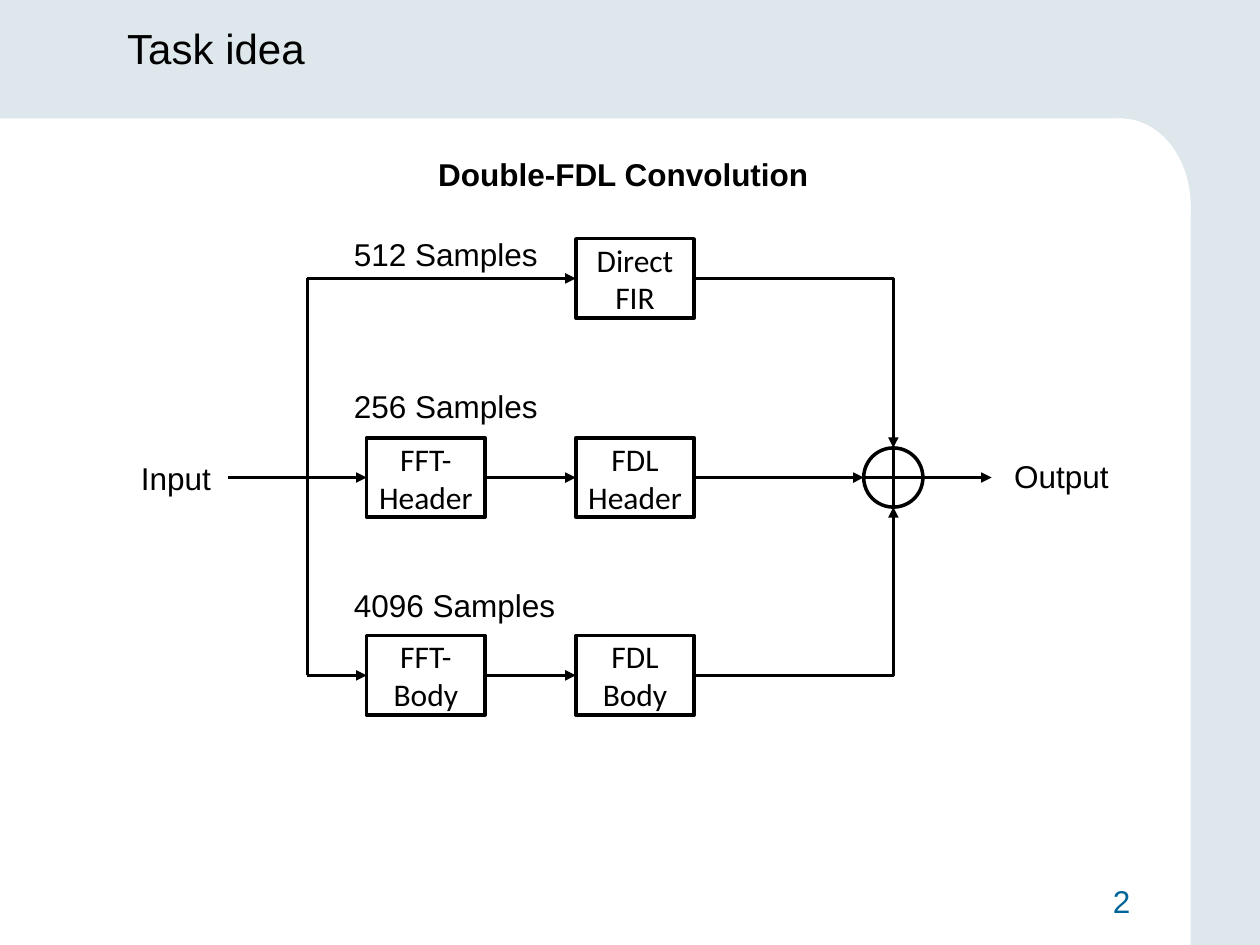
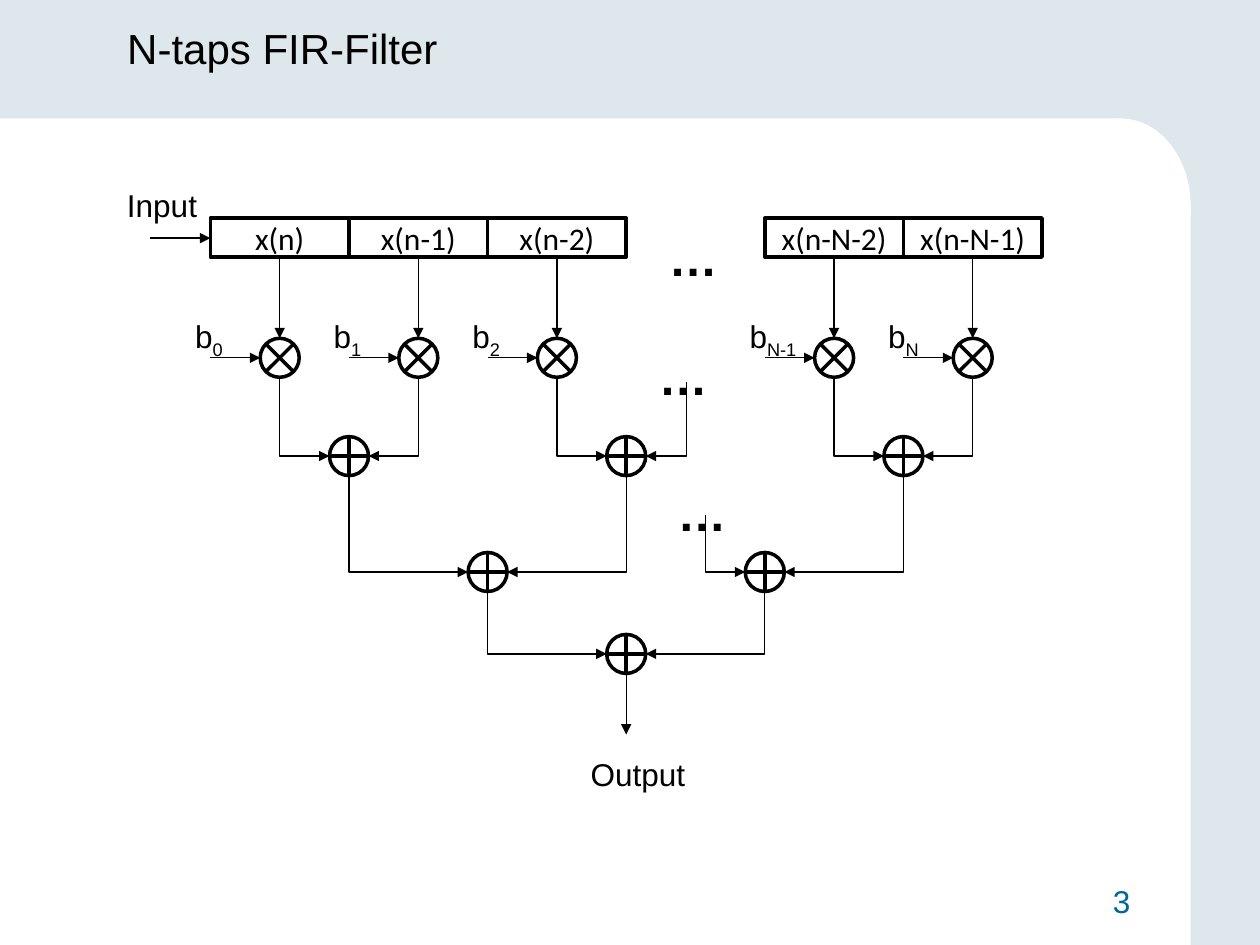
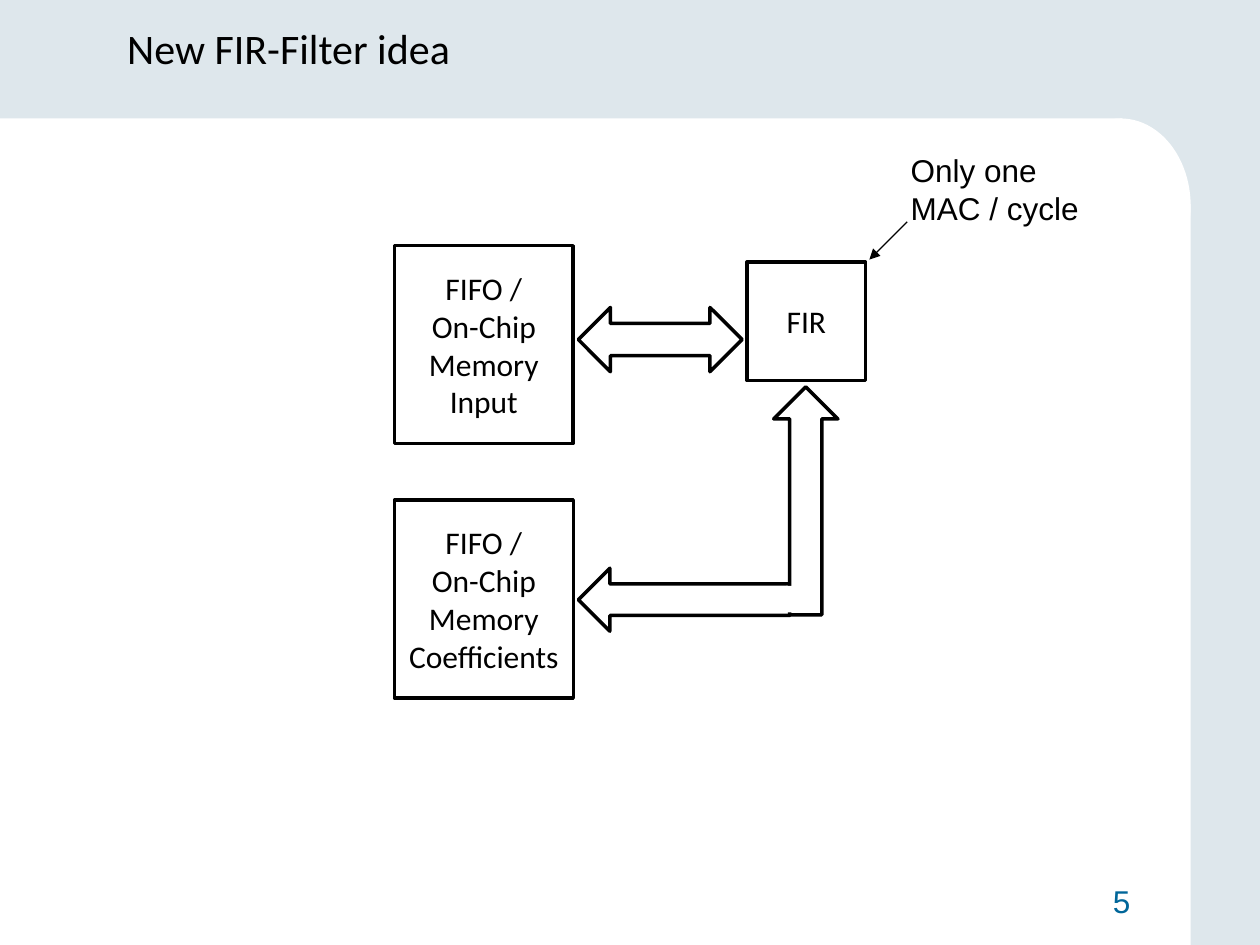
from dataclasses import dataclass

from lxml import etree
from pptx import Presentation
from pptx import util as u
from pptx.dml.color import RGBColor
from pptx.enum import shapes as sh, text as tx
from pptx.oxml.ns import qn


@dataclass(frozen=True)
class Theme:
    """Colours, fonts, type sizes and line widths of the deck."""
    back: str = "DEE7EC"
    white: str = "FFFFFF"
    ink: str = "000000"
    num: str = "006699"
    sans: str = "Arial"
    block: str = "Calibri"
    head: int = 24
    text: int = 18
    dots: int = 48
    thick: float = 2
    thin: float = 0.75


T = Theme()
KIND = sh.MSO_SHAPE
MID = tx.PP_ALIGN.CENTER

# Shared frame: kind, left, top, width, height
PANEL = [
    (KIND.RECTANGLE, 0, 0.94, 8.91, 6.56),
    (KIND.OVAL, 8.34, 0.94, 1.11, 1.39),
    (KIND.RECTANGLE, 5.35, 1.62, 4.1, 5.88),
]
TITLE = (0.91, 0.13, 8.11, 0.79)
PAGES = [("Task idea", 2, T.sans), ("N-taps FIR-Filter", 3, T.sans),
         ("New FIR-Filter idea", 5, T.block)]

# Convolution: one branch a row, as centre height, label, label top, blocks
ROWS = [
    (2.21, "512 Samples", 1.82, [None, "Direct FIR"]),
    (3.79, "256 Samples", 3.02, ["FFT- Header", "FDL Header"]),
    (5.36, "4096 Samples", 4.6, ["FFT- Body", "FDL Body"]),
]
COLS = [2.91, 4.57]
BLOCK = (0.94, 0.63)

# Filter: slot -> cell text and coefficient index
TAPS = {0: ("x(n)", "0"), 1: ("x(n-1)", "1"), 2: ("x(n-2)", "2"),
        4: ("x(n-N-2)", "N-1"), 5: ("x(n-N-1)", "N")}
LEVELS = [2.84, 3.62, 4.54, 5.19]
# Adders: level, slot, slots that feed it from the level above
ADDERS = [
    (1, 0.5, [0, 1]), (1, 2.5, [2]), (1, 4.5, [4, 5]),
    (2, 1.5, [0.5, 2.5]), (2, 3.5, [4.5]), (3, 2.5, [1.5, 3.5]),
]
# Feeds from the omitted taps: start, adder level, adder slot
STUBS = [((5.45, 3.03), 1, 2.5), ((5.6, 4.09), 2, 3.5)]
DOTS = [(5.21, 1.31), (5.13, 2.26), (5.28, 3.34)]

# Memory idea: kind, place, lines of text
PARTS = [
    (KIND.RECTANGLE, (3.13, 1.95, 1.42, 1.57),
     ["FIFO /", "On-Chip Memory", "Input"]),
    (KIND.FLOWCHART_PROCESS, (3.13, 3.97, 1.42, 1.57),
     ["FIFO /", "On-Chip Memory", "Coefficients"]),
    (KIND.LEFT_RIGHT_ARROW, (4.59, 2.44, 1.3, 0.51), []),
    (KIND.LEFT_ARROW, (4.59, 4.51, 1.68, 0.5), []),
    (KIND.UP_ARROW, (6.14, 3.07, 0.51, 1.81), []),
    (KIND.RECTANGLE, (5.93, 2.08, 0.94, 0.94), ["FIR"]),
]
JOINT = (6.24, 4.65, 0.06, 0.21)


def inch(vals):
    """Turn numbers into lengths."""
    return [u.Inches(v) for v in vals]


def style(run, **extra):
    """Set the font of a run from theme values and overrides."""
    form = {"name": T.sans, "size": T.text, "bold": False, **extra}
    color = form.pop("color", T.ink)
    form["size"] = u.Pt(form["size"])
    for key, val in form.items():
        setattr(run.font, key, val)
    run.font.color.rgb = RGBColor.from_string(color)


def write(frame, lines, align=None, **form):
    """Fill a frame, one paragraph a line."""
    for i, line in enumerate(lines):
        para = frame.add_paragraph() if i else frame.paragraphs[0]
        para.alignment = align
        run = para.add_run()
        run.text = line
        style(run, **form)


def lower(run):
    """Set a run as subscript."""
    run.font._element.set("baseline", "-25000")


def label(page, lines, place, wrap=False, align=None, **form):
    """Add a text box and return its frame."""
    frame = page.shapes.add_textbox(*inch(place)).text_frame
    frame.word_wrap = wrap
    write(frame, lines, align, **form)
    return frame


def block(page, kind, place, lines=(), fill=T.white, edge=True):
    """Add an outlined shape with centred text."""
    item = page.shapes.add_shape(kind, *inch(place))
    item.shadow.inherit = False
    if fill:
        item.fill.solid()
        item.fill.fore_color.rgb = RGBColor.from_string(fill)
    else:
        item.fill.background()
    if edge:
        item.line.color.rgb = RGBColor.from_string(T.ink)
        item.line.width = u.Pt(T.thick)
    else:
        item.line.fill.background()
    if lines:
        frame = item.text_frame
        form = {"word_wrap": True, "vertical_anchor": tx.MSO_ANCHOR.MIDDLE,
                "margin_left": u.Inches(0.08), "margin_right": u.Inches(0.08)}
        for key, val in form.items():
            setattr(frame, key, val)
        write(frame, lines, MID, name=T.block)
    return item


def node(page, kind, x, y, size, fill=None):
    """Add a round junction centred on a point."""
    block(page, kind, (x - size / 2, y - size / 2, size, size), fill=fill)


def wire(page, start, end, width=T.thin, tip="tailEnd", bent=False):
    """Add a line; a bent one runs level first, then upright."""
    kind = sh.MSO_CONNECTOR.ELBOW if bent else sh.MSO_CONNECTOR.STRAIGHT
    link = page.shapes.add_connector(kind, *inch(start + end))
    link.line.color.rgb = RGBColor.from_string(T.ink)
    link.line.width = u.Pt(width)
    prop = link._element.spPr
    if bent:
        prop.find(qn("a:prstGeom")).set("prst", "bentConnector2")
    if tip:
        etree.SubElement(prop.find(qn("a:ln")), qn("a:" + tip), type="triangle")
    etree.SubElement(prop, qn("a:effectLst"))


def drop(page, start, end):
    """Run upright, then level into end: a bent wire laid backwards."""
    wire(page, end, start, tip="headEnd", bent=True)


def frame_up(deck):
    """Put background, white panel and title place on the shared layout."""
    fill = deck.slide_master.background.fill
    fill.solid()
    fill.fore_color.rgb = RGBColor.from_string(T.back)
    base = deck.slide_layouts[5]
    names = ("left", "top", "width", "height")
    for key, val in zip(names, inch(TITLE)):
        setattr(base.placeholders[0], key, val)
    base.placeholders[0].text_frame.vertical_anchor = tx.MSO_ANCHOR.TOP
    return base


def panel(base, page):
    """Draw the panel once and move it behind the layout's placeholders."""
    for i, (kind, *place) in enumerate(PANEL):
        item = block(page, kind, place, edge=False)._element
        item.nvSpPr.cNvPr.set("id", str(90 + i))
        base.shapes._spTree.insert(2 + i, item)


def start(deck, base, title, num, font):
    """Add a slide with its title and number."""
    page = deck.slides.add_slide(base)
    write(page.shapes.title.text_frame, [title], tx.PP_ALIGN.LEFT,
          name=font, size=T.head)
    label(page, [str(num)], (7.17, 6.95, 1.9, 0.4), True,
          tx.PP_ALIGN.RIGHT, color=T.num)
    return page


def convolve(page):
    """Draw three branches that meet in one adder."""
    wide, high = BLOCK
    fork, hub, size = 2.44, 7.09, 0.47
    top, mid, low = [row[0] for row in ROWS]
    for y, note, rise, names in ROWS:
        left = 1.81 if y == mid else fork
        for x, name in zip(COLS, names):
            if name:
                block(page, KIND.RECTANGLE, (x, y - high / 2, wide, high), [name])
                wire(page, (left, y), (x, y), T.thick)
                left = x + wide
        if y == mid:
            wire(page, (left, y), (hub - size / 2, y), T.thick)
        else:
            side = size / 2 if y > mid else -size / 2
            wire(page, (left, y), (hub, mid + side), T.thick, bent=True)
        label(page, [note], (2.71, rise, 1.85, 0.4), True)
    node(page, KIND.FLOWCHART_OR, hub, mid, size, T.white)
    wire(page, (hub + size / 2, mid), (7.87, mid), T.thick)
    wire(page, (fork, low), (fork, top), T.thick, tip=None)
    label(page, ["Input"], (1.02, 3.59, 0.79, 0.4))
    label(page, ["Output"], (7.95, 3.58, 1.02, 0.4))
    label(page, ["Double-FDL Convolution"], (3.38, 1.18, 3.17, 0.4), bold=True)


def taps(page):
    """Draw the delay line, its multipliers and the adder tree."""
    left, step, top, high, size = 1.67, 1.1, 1.73, 0.31, 0.31
    half = size / 2

    def mid(slot):
        """Centre of a slot."""
        return left + step * (slot + 0.5)

    row = LEVELS[0]
    for slot, (name, sub) in TAPS.items():
        x, c = left + step * slot, mid(slot)
        block(page, KIND.FLOWCHART_PROCESS, (x, top, step, high), [name], None)
        node(page, KIND.FLOWCHART_SUMMING_JUNCTION, c, row, size)
        wire(page, (x, row), (c - half, row))
        wire(page, (c, top + high), (c, row - half))
        wide = 0.31 + 0.13 * len(sub) - 0.04 * (len(sub) - 1)
        para = label(page, ["b"], (x - 0.22, 2.47, wide, 0.4)).paragraphs[0]
        run = para.add_run()
        run.text = sub
        style(run)
        lower(run)
    for rank, slot, feeds in ADDERS:
        node(page, KIND.FLOWCHART_OR, mid(slot), LEVELS[rank], size)
        for feed in feeds:
            side = half if feed > slot else -half
            drop(page, (mid(feed), LEVELS[rank - 1] + half),
                 (mid(slot) + side, LEVELS[rank]))
    for spot, rank, slot in STUBS:
        side = half if spot[0] > mid(slot) else -half
        drop(page, spot, (mid(slot) + side, LEVELS[rank]))
    for spot in DOTS:
        dots = label(page, ["…"], spot + (0.65, 0.64), size=T.dots, bold=True)
        lower(dots.paragraphs[0].runs[0])
    wire(page, (1.19, 1.89), (left, 1.89))
    wire(page, (mid(2.5), LEVELS[-1] + half), (mid(2.5), 5.83))
    label(page, ["Input"], (0.91, 1.43, 0.76, 0.4))
    label(page, ["Output"], (4.59, 5.94, 0.96, 0.4))


def memory(page):
    """Draw two memories joined to one filter block."""
    for kind, place, lines in PARTS:
        block(page, kind, place, lines)
    block(page, KIND.RECTANGLE, JOINT, edge=False)
    label(page, ["Only one", "MAC / cycle"], (7.13, 1.15, 2.2, 0.71), True)
    wire(page, (7.2, 1.76), (6.9, 2.06))


def main():
    """Build and save the deck."""
    deck = Presentation()
    deck.slide_width, deck.slide_height = inch((10, 7.5))
    base = frame_up(deck)
    for head, draw in zip(PAGES, (convolve, taps, memory)):
        page = start(deck, base, *head)
        if len(deck.slides) == 1:
            panel(base, page)
        draw(page)
    deck.save("out.pptx")


main()
